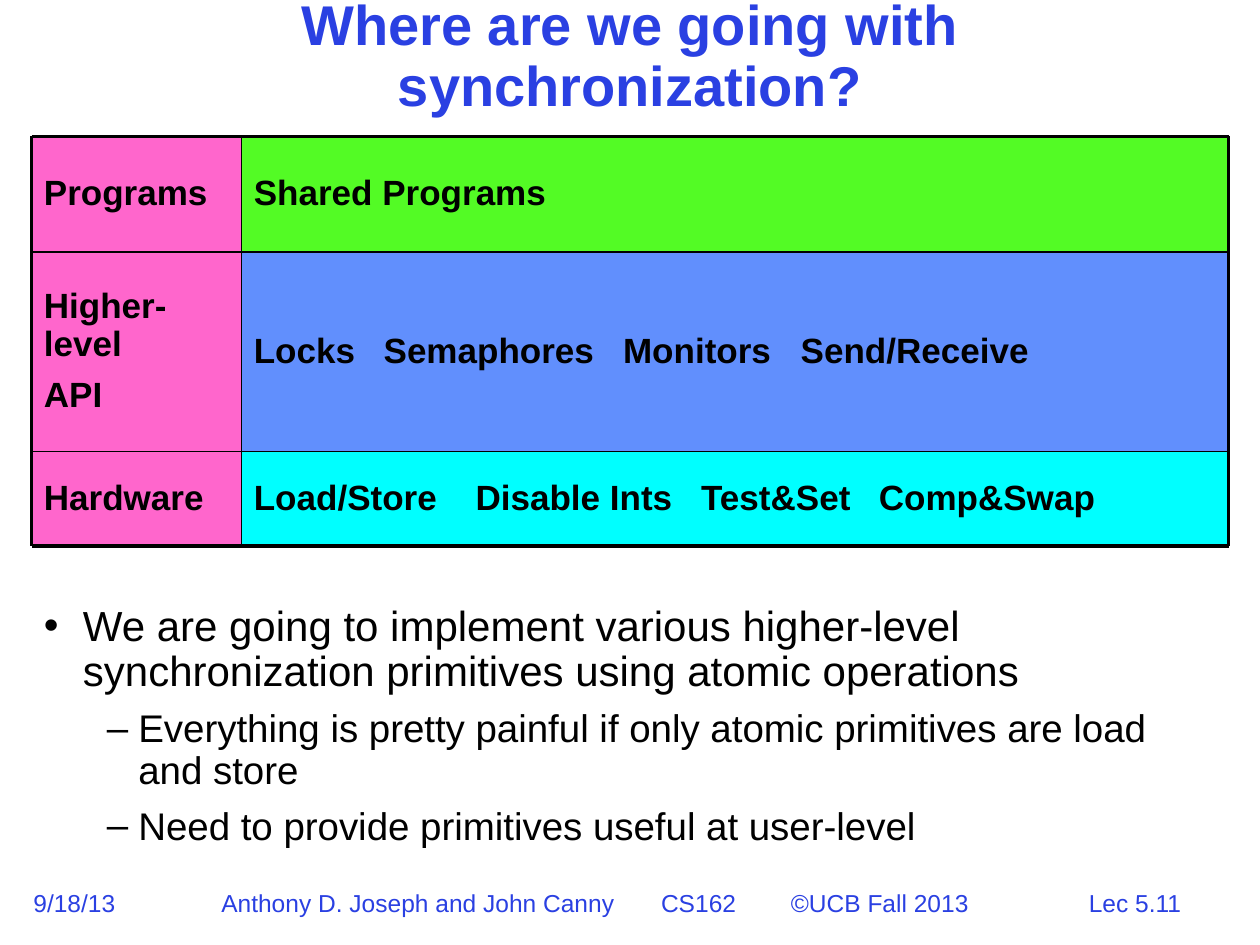
from lxml.etree import SubElement
from pptx import Presentation
from pptx.dml.color import RGBColor
from pptx.enum.shapes import MSO_CONNECTOR, MSO_SHAPE
from pptx.enum.text import MSO_ANCHOR, MSO_AUTO_SIZE, PP_ALIGN
from pptx.oxml.ns import qn
from pptx.util import Inches, Pt

BLUE, BLACK, PINK = "2A40E2", "000000", "FF66CC"
rgb = RGBColor.from_string


def grid(*cells):
    """Lengths on a grid of 120 columns by 90 rows, 12 to the inch."""
    return [Inches(c / 12) for c in cells]


def write(tf, text, size=20, color=BLACK, bold=False, align=PP_ALIGN.LEFT,
          spacing=0.9, before=0, bullet=None, indent=0, hang=0, level=0, tabs=()):
    """Fill the empty first paragraph of a text frame, or add another one."""
    p = tf.paragraphs[0] if not tf.text else tf.add_paragraph()
    p.level, p.alignment = level, align
    pPr = p._p.get_or_add_pPr()
    if bullet:
        pPr.set("marL", str(Inches(indent)))
        pPr.set("indent", str(-Inches(hang)))
        SubElement(pPr, qn("a:buFont"), typeface="Arial")
        SubElement(pPr, qn("a:buChar"), char=bullet)
    if tabs:
        stops = SubElement(pPr, qn("a:tabLst"))
        for pos in tabs:
            SubElement(stops, qn("a:tab"), pos=str(Inches(pos)), algn="l")
    p.line_spacing, p.space_before = spacing, Pt(before)
    r = p.add_run()
    r.text = text
    r.font.name, r.font.size, r.font.bold = "Arial", Pt(size), bold
    r.font.color.rgb = rgb(color)


prs = Presentation()
prs.slide_width, prs.slide_height = grid(120, 90)
s = prs.slides.add_slide(prs.slide_layouts[5])

# Title
title = s.shapes.title
title.left, title.top, title.width, title.height = grid(13, 2, 94, 7)
tf = title.text_frame
tf.auto_size, tf.vertical_anchor = MSO_AUTO_SIZE.NONE, MSO_ANCHOR.MIDDLE
write(tf, "Where are we going with synchronization?", size=32, color=BLUE,
      bold=True, align=PP_ALIGN.CENTER)

# Layers: top, bottom, labels, fill, contents, tab stops
columns, rows = (3, 23, 117), (13, 24, 43, 52)
layers = [
    (["Programs"], "53FB25", "Shared Programs", ()),
    (["Higher-level", "API"], "618FFD",
     "Locks\tSemaphores\tMonitors\tSend/Receive", (1.03, 2.93, 4.34)),
    (["Hardware"], "00FFFF",
     "Load/Store\tDisable Ints\tTest&Set\tComp&Swap", (1.76, 3.55, 4.96)),
]
for top, bottom, (labels, fill, contents, tabs) in zip(rows, rows[1:], layers):
    sides = [(labels, PINK, ()), ([contents], fill, tabs)]
    for left, right, (lines, back, stops) in zip(columns, columns[1:], sides):
        sp = s.shapes.add_shape(MSO_SHAPE.RECTANGLE,
                                *grid(left, top, right - left, bottom - top))
        sp.shadow.inherit = False
        sp.fill.solid()
        sp.fill.fore_color.rgb = rgb(back)
        sp.line.fill.background()
        tf = sp.text_frame
        tf.word_wrap, tf.vertical_anchor = True, MSO_ANCHOR.MIDDLE
        for n, line in enumerate(lines):
            write(tf, line, bold=True, before=7.5 if n else 0, tabs=stops)

# Thick outer frame, thin inner rules
rules = [(columns[0], y, columns[-1], y, y in (rows[0], rows[-1])) for y in rows]
rules += [(x, rows[0], x, rows[-1], x in (columns[0], columns[-1])) for x in columns]
for *ends, outer in rules:
    rule = s.shapes.add_connector(MSO_CONNECTOR.STRAIGHT, *grid(*ends))
    rule.line.color.rgb = rgb(BLACK)
    rule.line.width = Pt(2.25 if outer else 1)
    SubElement(rule._element.spPr, qn("a:effectLst"))

# Bullets
tf = s.shapes.add_textbox(*grid(3, 57, 113, 28)).text_frame
tf.word_wrap = True
write(tf, "We are going to implement various higher-level synchronization "
      "primitives using atomic operations", size=24, bullet="•", indent=0.31, hang=0.31)
for text in ["Everything is pretty painful if only atomic primitives are load and store",
             "Need to provide primitives useful at user-level"]:
    write(tf, text, size=22, before=8.2, bullet="–", indent=0.75, hang=0.25, level=1)

# Footer
footer = [
    (2, 10.2, "9/18/13", PP_ALIGN.LEFT, ()),
    (19.9, 73.7, "Anthony D. Joseph and John Canny\tCS162\t©UCB Fall 2013",
     PP_ALIGN.LEFT, (3.49, 4.52)),
    (98.4, 19.4, "Lec 5.11", PP_ALIGN.CENTER, ()),
]
for left, width, text, align, tabs in footer:
    tf = s.shapes.add_textbox(*grid(left, 84, width, 4)).text_frame
    tf.word_wrap = True
    write(tf, text, size=14, color=BLUE, align=align, spacing=1, tabs=tabs)

prs.save("out.pptx")
